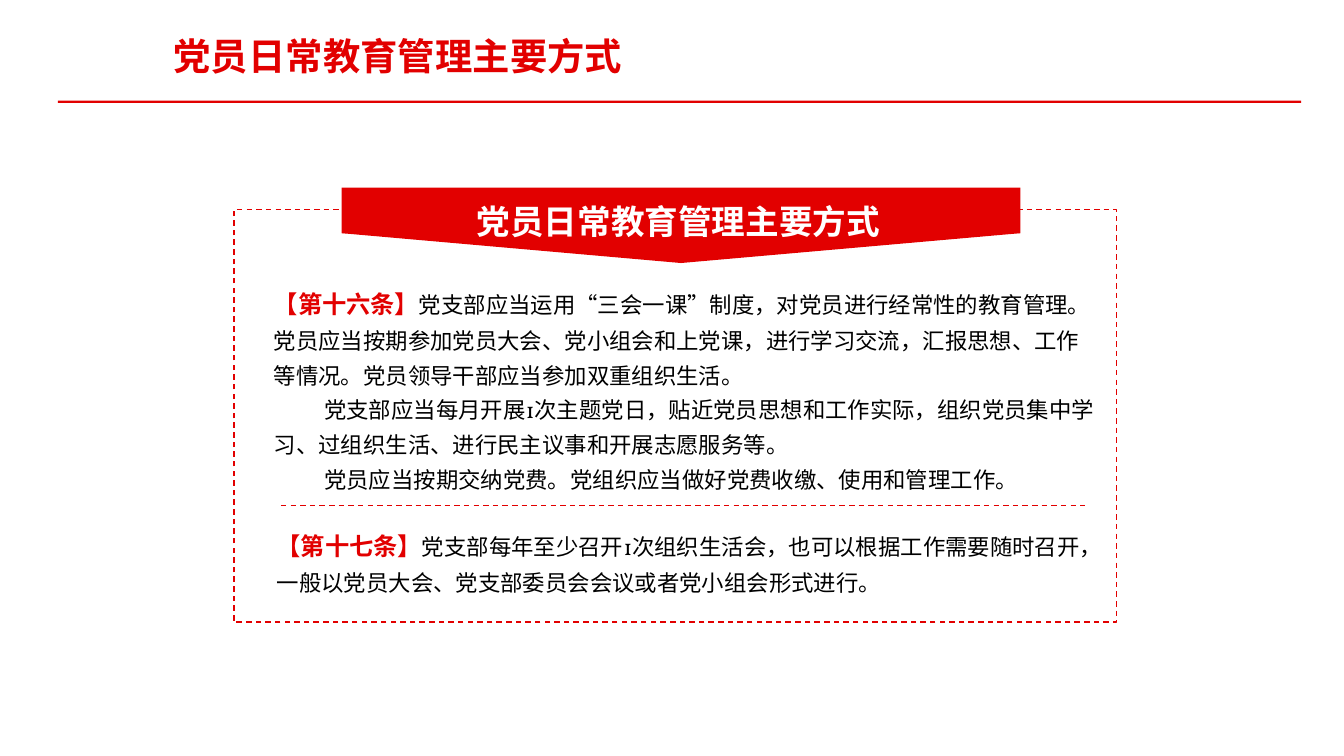
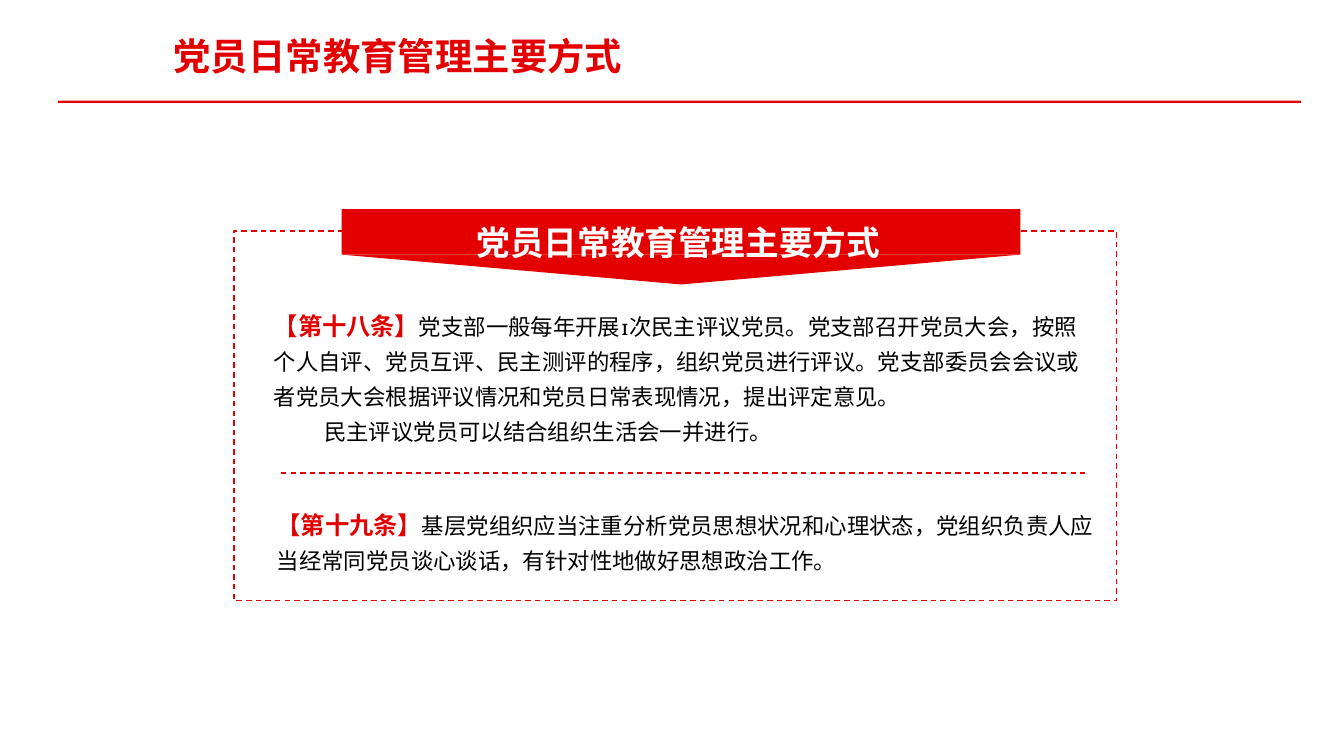
"""Builds two slides on the daily education and management of members."""
from lxml.etree import SubElement
from pptx import Presentation
from pptx.dml.color import RGBColor
from pptx.enum.dml import MSO_LINE
from pptx.enum.shapes import MSO_CONNECTOR, MSO_SHAPE
from pptx.enum.text import MSO_AUTO_SIZE, PP_ALIGN
from pptx.oxml.ns import qn
from pptx.util import Pt

TITLE = "党员日常教育管理主要方式"
FONT = "Vollkorn"
HEX = {"red": "E20000", "white": "FFFFFF", "black": "000000"}
INDENT = 27

PAGES = [
    {
        "top": 100.5, "high": 221, "rule": 270.7, "low": 276.5, "size": (121, 44.6),
        "parts": [
            ("【第十六条】", [
                "党支部应当运用“三会一课”制度，对党员进行经常性的教育管理。党员应当按期参加党员大会、党小组会和上党课，进行学习交流，汇报思想、工作等情况。党员领导干部应当参加双重组织生活。",
                "党支部应当每月开展1次主题党日，贴近党员思想和工作实际，组织党员集中学习、过组织生活、进行民主议事和开展志愿服务等。",
                "党员应当按期交纳党费。党组织应当做好党费收缴、使用和管理工作。",
            ]),
            ("【第十七条】", [
                "党支部每年至少召开1次组织生活会，也可以根据工作需要随时召开，一般以党员大会、党支部委员会会议或者党小组会形式进行。",
            ]),
        ],
    },
    {
        "top": 112, "high": 198, "rule": 253.4, "low": 265, "size": (82.8, 44.6),
        "parts": [
            ("【第十八条】", [
                "党支部一般每年开展1次民主评议党员。党支部召开党员大会，按照个人自评、党员互评、民主测评的程序，组织党员进行评议。党支部委员会会议或者党员大会根据评议情况和党员日常表现情况，提出评定意见。",
                "民主评议党员可以结合组织生活会一并进行。",
            ]),
            ("【第十九条】", [
                "基层党组织应当注重分析党员思想状况和心理状态，党组织负责人应当经常同党员谈心谈话，有针对性地做好思想政治工作。",
            ]),
        ],
    },
]


def tint(name):
    return RGBColor.from_string(HEX[name])


def block(slide, kind, box, fill="red", dash=False):
    shape = slide.shapes.add_shape(kind, *map(Pt, box))
    shape.shadow.inherit = False
    shape.fill.solid()
    shape.fill.fore_color.rgb = tint(fill)
    if dash:
        stroke(shape.line)
    else:
        shape.line.fill.background()
    return shape


def stroke(line):
    line.color.rgb = tint("red")
    line.width = Pt(0.75)
    line.dash_style = MSO_LINE.DASH


def style(run, size, color, bold=False):
    font = run.font
    font.name, font.size, font.bold = FONT, Pt(size), bold
    font.color.rgb = tint(color)


def frame(slide, box):
    text = slide.shapes.add_textbox(*map(Pt, box)).text_frame
    text.word_wrap = True
    text.auto_size = MSO_AUTO_SIZE.SHAPE_TO_FIT_TEXT
    return text


def label(slide, box, size, color, align=None, space=None):
    text = frame(slide, box)
    text.margin_left = text.margin_right = Pt(5)
    text.margin_top = text.margin_bottom = Pt(2.6)
    text.text = TITLE
    para = text.paragraphs[0]
    para.alignment, para.line_spacing = align, space
    style(para.runs[0], size, color, True)


def article(slide, box, head, paras):
    text = frame(slide, box)
    for i, words in enumerate(paras):
        para = text.add_paragraph() if i else text.paragraphs[0]
        para.line_spacing = 1.3
        if i:
            para._p.get_or_add_pPr().set("indent", str(Pt(INDENT)))
        else:
            run = para.add_run()
            run.text = head
            style(run, 13, "red", True)
        run = para.add_run()
        run.text = words
        style(run, 12, "black")


def divide(slide, y):
    line = slide.shapes.add_connector(
        MSO_CONNECTOR.STRAIGHT, Pt(150.5), Pt(y), Pt(581), Pt(y))
    stroke(line.line)
    SubElement(line._element.spPr, qn("a:effectLst"))


def build(deck, page):
    slide = deck.slides.add_slide(deck.slide_layouts[6])
    top = page["top"]
    block(slide, MSO_SHAPE.RECTANGLE, (31, 54, 666, 1.2))
    label(slide, (88, 15.3, 289.5, 29.5), 20, "red")
    block(slide, MSO_SHAPE.RECTANGLE, (125.3, top + 11.8, 473, page["high"]),
          "white", True)
    block(slide, MSO_SHAPE.RECTANGLE, (183, top, 363.6, 24.5))
    point = block(slide, MSO_SHAPE.ISOSCELES_TRIANGLE, (183, top + 24.4, 363.6, 16))
    point.rotation = 180
    label(slide, (196, top, 334.8, 29.5), 18, "white", PP_ALIGN.CENTER, 1.2)
    spots = ((139.6, top + 46.4), (141.2, page["low"]))
    for (x, y), high, part in zip(spots, page["size"], page["parts"]):
        article(slide, (x, y, 454.3, high), *part)
    divide(slide, page["rule"])


def main():
    deck = Presentation()
    deck.slide_width, deck.slide_height = Pt(720), Pt(405)
    for page in PAGES:
        build(deck, page)
    deck.save("out.pptx")


if __name__ == "__main__":
    main()
